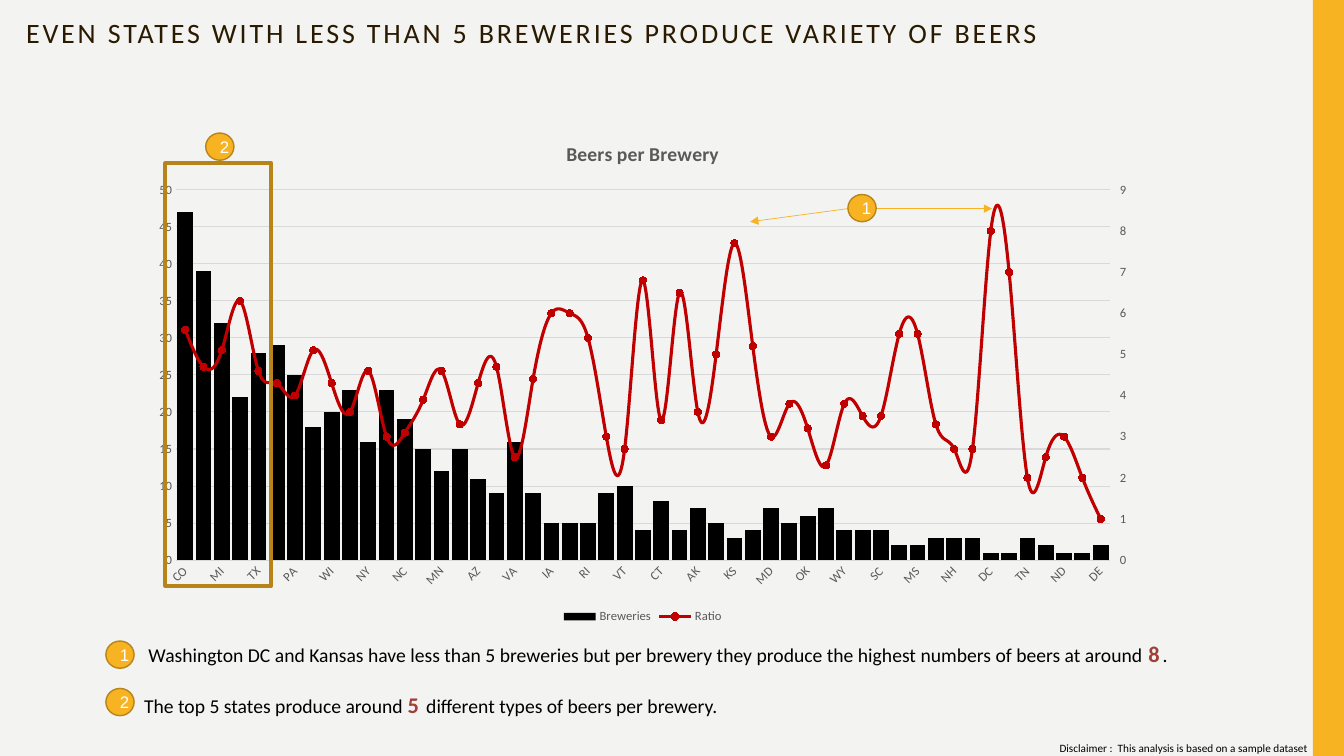
from copy import deepcopy
from pptx import Presentation
from pptx.chart.axis import CategoryAxis, ValueAxis
from pptx.chart.data import CategoryChartData
from pptx.dml.color import RGBColor
from pptx.enum.chart import XL_CHART_TYPE, XL_LEGEND_POSITION, XL_MARKER_STYLE, XL_TICK_MARK
from pptx.enum.shapes import MSO_CONNECTOR, MSO_SHAPE
from pptx.enum.text import MSO_ANCHOR, PP_ALIGN
from pptx.oxml import parse_xml
from pptx.oxml.ns import nsdecls, qn
from pptx.util import Inches, Pt

# Content
TITLE = "EVEN STATES WITH LESS THAN 5 BREWERIES PRODUCE VARIETY OF BEERS"
CHART_TITLE = "Beers per Brewery"
STATES = ("CO CA MI IN TX OR PA IL WI MA NY WA NC FL MN OH AZ MO VA MT IA ID RI ME VT HI CT "
          "UT AK NE KS KY MD LA OK GA WY NM SC NV MS AL NH NJ DC SD TN AR ND WV DE").split()
BREWERIES = [47, 39, 32, 22, 28, 29, 25, 18, 20, 23, 16, 23, 19, 15, 12, 15, 11,
             9, 16, 9, 5, 5, 5, 9, 10, 4, 8, 4, 7, 5, 3, 4, 7, 5,
             6, 7, 4, 4, 4, 2, 2, 3, 3, 3, 1, 1, 3, 2, 1, 1, 2]
RATIO = [5.6, 4.7, 5.1, 6.3, 4.6, 4.3, 4, 5.1, 4.3, 3.6, 4.6, 3, 3.1, 3.9, 4.6, 3.3, 4.3,
         4.7, 2.5, 4.4, 6, 6, 5.4, 3, 2.7, 6.8, 3.4, 6.5, 3.6, 5, 7.7, 5.2, 3, 3.8,
         3.2, 2.3, 3.8, 3.5, 3.5, 5.5, 5.5, 3.3, 2.7, 2.7, 8, 7, 2, 2.5, 3, 2, 1]
# (before, highlighted number, after)
NOTES = [(" Washington DC and Kansas have less than 5 breweries but per brewery they "
          "produce the highest numbers of beers at around ", "8", "."),
         ("The top 5 states produce around ", "5", " different types of beers per brewery.")]
DISCLAIMER = "Disclaimer :  This analysis is based on a sample dataset"
BADGES = [("1", 8.41, 1.93), ("2", 2.04, 1.32), ("1", 1.05, 6.36), ("2", 1.05, 6.83)]
ARROWS = [(8.41, 2.07, 7.44, 2.2), (8.69, 2.07, 9.84, 2.07)]

THEME = {
    "font": "Calibri", "badge_font": "Arial",
    "bg": "F3F3F2", "gold": "F8B323", "dark_gold": "B7841A", "title": "2A1A00",
    "text": "000000", "white": "FFFFFF", "accent": "A14039",
    "bar": "000000", "ratio": "C00000", "label": "595959", "grid": "D9D9D9",
    "title_pt": 20, "note_pt": 14, "number_pt": 16, "badge_pt": 12,
    "chart_title_pt": 14, "label_pt": 9, "small_pt": 8,
}


def color(name):
    return RGBColor.from_string(THEME[name])


def style(font, size, col, face="font", bold=False):
    font.name, font.size, font.bold = THEME[face], Pt(THEME[size]), bold
    font.color.rgb = color(col)


def space_letters(r):
    r._r.get_or_add_rPr().set("spc", "200")


def add_shape(kind, box, fill=None, line=None, width=1):
    sp = s.shapes.add_shape(kind, *map(Inches, box))
    sp.shadow.inherit = False
    if fill:
        sp.fill.solid()
        sp.fill.fore_color.rgb = color(fill)
    else:
        sp.fill.background()
    if line:
        sp.line.color.rgb, sp.line.width = color(line), Pt(width)
    else:
        sp.line.fill.background()
    return sp


def add_text(box, text, wrap=True):
    tf = s.shapes.add_textbox(*map(Inches, box)).text_frame
    tf.word_wrap = wrap
    tf.text = text
    return tf


def style_axis(axis, top=None, step=None):
    style(axis.tick_labels.font, "label_pt", "label")
    axis.major_tick_mark = XL_TICK_MARK.NONE
    axis.format.line.fill.background()
    if top:
        axis.minimum_scale, axis.maximum_scale, axis.major_unit = 0, top, step


def move_to_right_axis(chart):
    """Turn the last series into a line plotted on its own pair of axes."""
    bars = chart.plots[0]._element
    ser = bars.findall(qn("c:ser"))[-1]
    for bar_only in ser.findall(qn("c:invertIfNegative")):
        ser.remove(bar_only)
    group = parse_xml(f'<c:lineChart {nsdecls("c")}><c:grouping val="standard"/>'
                      '<c:varyColors val="0"/><c:marker val="1"/>'
                      '<c:axId val="5001"/><c:axId val="5002"/></c:lineChart>')
    group.insert(2, ser)
    bars.addnext(group)
    cat, val = (deepcopy(a._element) for a in (chart.category_axis, chart.value_axis))
    chart.value_axis._element.addnext(val)
    val.addnext(cat)
    for axis, own, other in ((cat, "5001", "5002"), (val, "5002", "5001")):
        axis.find(qn("c:axId")).set("val", own)
        axis.find(qn("c:crossAx")).set("val", other)
    val.find(qn("c:axPos")).set("val", "r")
    val.find(qn("c:crosses")).set("val", "max")
    CategoryAxis(cat).visible = False
    right = ValueAxis(val)
    right.has_major_gridlines = False
    style_axis(right, 9, 1)
    right.major_tick_mark = XL_TICK_MARK.OUTSIDE


# Slide
prs = Presentation()
prs.slide_width, prs.slide_height = Inches(13.33), Inches(7.5)
s = prs.slides.add_slide(prs.slide_layouts[6])
s.background.fill.solid()
s.background.fill.fore_color.rgb = color("bg")
add_shape(MSO_SHAPE.RECTANGLE, (13.02, 0, 0.31, 7.5), "gold")

# Chart
data = CategoryChartData()
data.categories = STATES
data.add_series("Breweries", BREWERIES)
data.add_series("Ratio", RATIO)
chart = s.shapes.add_chart(XL_CHART_TYPE.COLUMN_CLUSTERED,
                           *map(Inches, (1.38, 1.2, 9.99, 5.03)), data).chart
chart.font.name, chart.font.size = THEME["font"], Pt(10)
chart.has_title = True
tf = chart.chart_title.text_frame
tf.text = CHART_TITLE
style(tf.paragraphs[0].runs[0].font, "chart_title_pt", "label", bold=True)
chart.has_legend = True
chart.legend.position = XL_LEGEND_POSITION.BOTTOM
chart.legend.include_in_layout = False
style(chart.legend.font, "label_pt", "label")

style_axis(chart.category_axis)
chart.category_axis.format.line.color.rgb = color("grid")
chart.category_axis.format.line.width = Pt(0.75)
chart.category_axis._element.find(qn("c:txPr")).find(qn("a:bodyPr")).set("rot", "-2700000")
style_axis(chart.value_axis, 50, 5)
grid = chart.value_axis.major_gridlines.format.line
grid.color.rgb, grid.width = color("grid"), Pt(0.75)
move_to_right_axis(chart)

columns, lines = chart.plots
columns.gap_width, columns.vary_by_categories = 16, False
bar_fill = columns.series[0].format.fill
bar_fill.solid()
bar_fill.fore_color.rgb = color("bar")
ratio = lines.series[0]
ratio.smooth = True
ratio.format.line.color.rgb, ratio.format.line.width = color("ratio"), Pt(2.25)
ratio.marker.style, ratio.marker.size = XL_MARKER_STYLE.CIRCLE, 5
ratio.marker.format.fill.solid()
ratio.marker.format.fill.fore_color.rgb = color("ratio")
ratio.marker.format.line.color.rgb = color("ratio")

# Title
p = add_text((0.16, 0.14, 12.63, 0.93), TITLE).paragraphs[0]
p.line_spacing = 0.9
style(p.runs[0].font, "title_pt", "title")
space_letters(p.runs[0])

# Frame around the top five states, and arrows to the highest ratios
add_shape(MSO_SHAPE.RECTANGLE, (1.64, 1.62, 1.05, 4.19), line="dark_gold", width=3)
for arrow in ARROWS:
    cn = s.shapes.add_connector(MSO_CONNECTOR.STRAIGHT, *map(Inches, arrow))
    cn.line.color.rgb, cn.line.width = color("gold"), Pt(0.5)
    cn.line._get_or_add_ln().append(parse_xml(f'<a:tailEnd {nsdecls("a")} type="triangle"/>'))
    cn._element.spPr.append(parse_xml(f'<a:effectLst {nsdecls("a")}/>'))

# Notes
tf = add_text((1.33, 6.3, 11.69, 1.2), "")
for i, note in enumerate(NOTES):
    p = tf.add_paragraph() if i else tf.paragraphs[0]
    p.space_before = Pt(17 * i)
    for j, part in enumerate(note):
        r = p.add_run()
        r.text = part
        if j == 1:
            style(r.font, "number_pt", "accent", bold=True)
            space_letters(r)
        else:
            style(r.font, "note_pt", "text")

# Numbered badges
for number, x, y in BADGES:
    tf = add_shape(MSO_SHAPE.OVAL, (x, y, 0.28, 0.27), "gold", "dark_gold").text_frame
    tf.text, tf.vertical_anchor = number, MSO_ANCHOR.MIDDLE
    p = tf.paragraphs[0]
    p.alignment = PP_ALIGN.CENTER
    style(p.runs[0].font, "badge_pt", "white", "badge_font")

# Disclaimer
tf = add_text((10.41, 7.31, 2.68, 0.24), DISCLAIMER, wrap=False)
style(tf.paragraphs[0].runs[0].font, "small_pt", "text")

prs.save("out.pptx")
